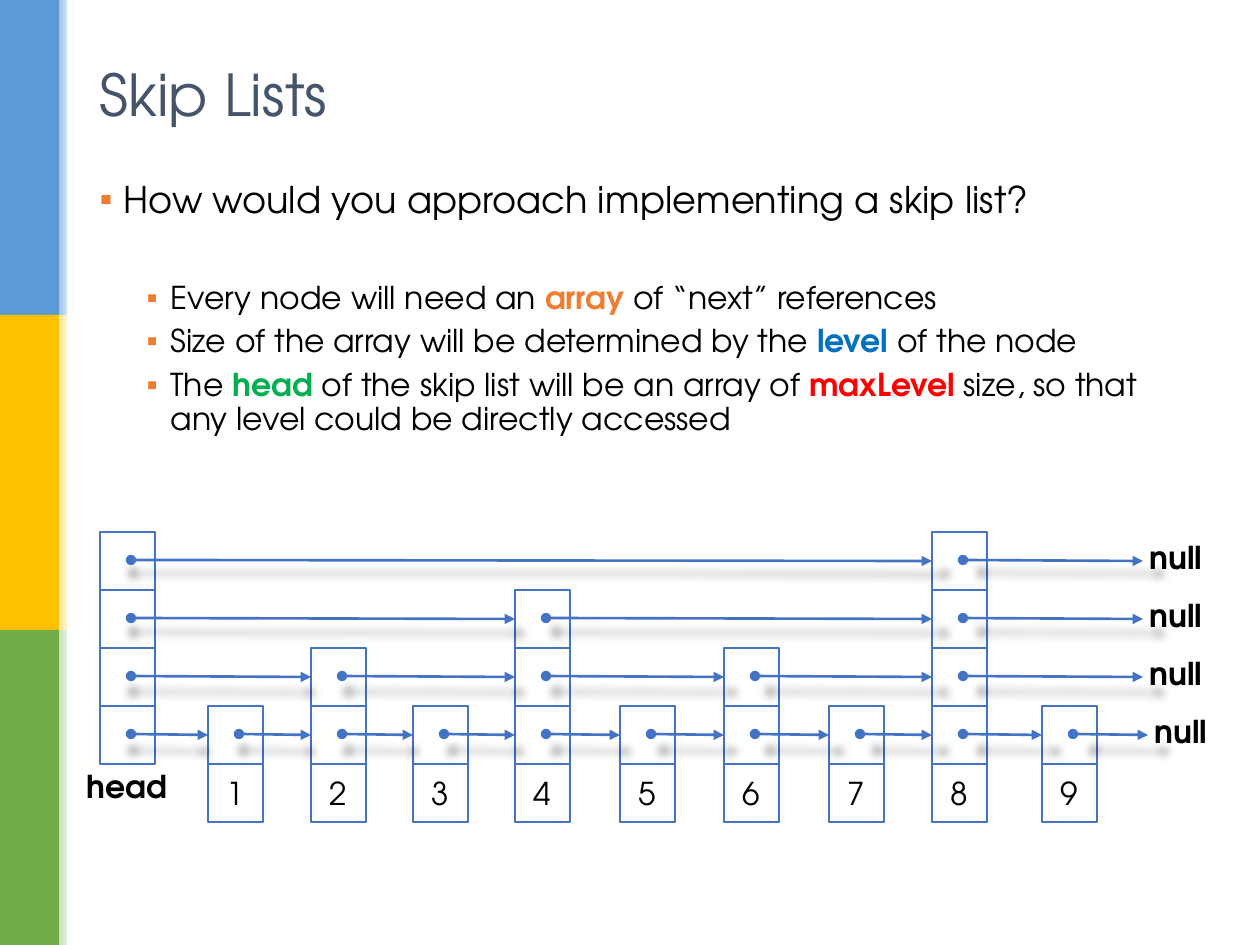
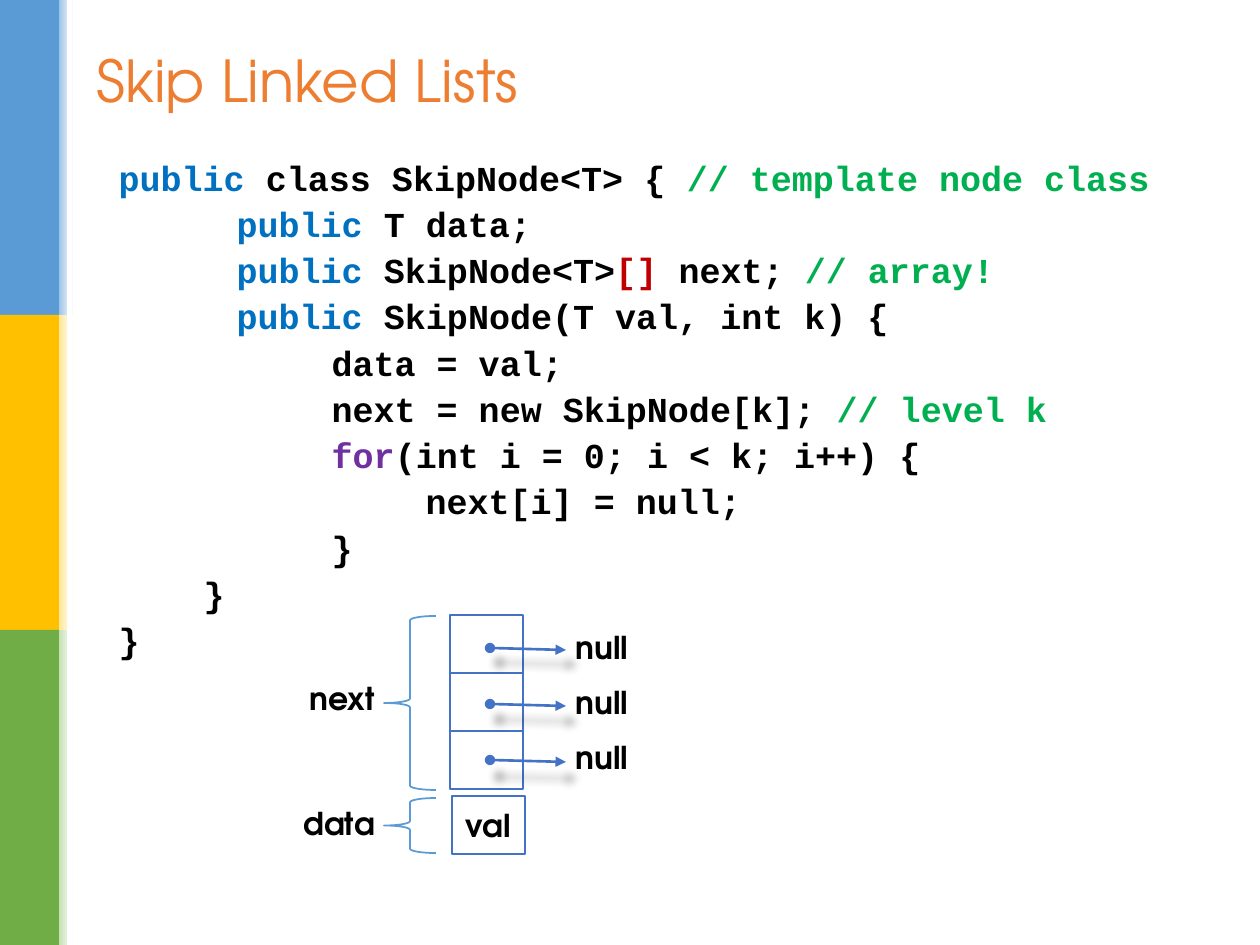
from typing import NamedTuple

from lxml import etree
from pptx import Presentation
from pptx.dml.color import RGBColor
from pptx.enum.shapes import MSO_CONNECTOR, MSO_SHAPE
from pptx.enum.text import MSO_ANCHOR, MSO_AUTO_SIZE, PP_ALIGN
from pptx.oxml.ns import qn
from pptx.shapes.base import BaseShape
from pptx.slide import Slide
from pptx.util import Emu, Pt

RECT, BRACE = MSO_SHAPE.RECTANGLE, MSO_SHAPE.LEFT_BRACE
STRAIGHT = MSO_CONNECTOR.STRAIGHT
TOP, MIDDLE = MSO_ANCHOR.TOP, MSO_ANCHOR.MIDDLE
LEFT, CENTER = PP_ALIGN.LEFT, PP_ALIGN.CENTER
NO_FIT = MSO_AUTO_SIZE.NONE

PX_PER_INCH = 126
SLIDE_W, SLIDE_H = 1260, 945
SANS, MONO = "TeX Gyre Adventor", "Courier New"

COLORS = {
    "black": "000000", "white": "FFFFFF", "slate": "44546A",
    "orange": "ED7D31", "blue": "0070C0", "green": "00B050",
    "red": "FF0000", "dark red": "C00000", "purple": "7030A0",
    "outline": "4472C4", "brace": "5B9BD5",
    "band blue": "5B9BD5", "band gold": "FFC000", "band green": "70AD47",
    "fade blue": "9DC3E6", "fade gold": "FFE699", "fade green": "C5E0B4",
}


class Box(NamedTuple):
    left: int
    top: int
    width: int
    height: int


class Span(NamedTuple):
    text: str
    color: str = "black"
    bold: bool = False


class Line(NamedTuple):
    spans: list[Span]
    margin: int
    size: int
    before: float
    bullet: bool = False


class Label(NamedTuple):
    text: str
    box: Box


def px(n: float) -> Emu:
    return Emu(round(n * 914400 / PX_PER_INCH))


def rgb(name: str) -> RGBColor:
    return RGBColor.from_string(COLORS[name])


def emu(box: Box) -> list[Emu]:
    return [px(n) for n in box]


def place(sp: BaseShape, box: Box) -> None:
    sp.left, sp.top, sp.width, sp.height = emu(box)


def style_run(r, font: str, size: int, color: str, bold: bool) -> None:
    r.font.name = font
    r.font.size = Pt(size)
    r.font.bold = bold
    r.font.color.rgb = rgb(color)


def add_rect(s: Slide, box: Box) -> BaseShape:
    sp = s.shapes.add_shape(RECT, *emu(box))
    sp.shadow.inherit = False
    sp.line.fill.background()
    return sp


def add_bands(s: Slide) -> None:
    height = SLIDE_H // 3
    for i, name in enumerate(("blue", "gold", "green")):
        band = add_rect(s, Box(0, i * height, 59, height))
        band.fill.solid()
        band.fill.fore_color.rgb = rgb(f"band {name}")
        fade = add_rect(s, Box(59, i * height, 15, height))
        fade.fill.gradient()
        fade.fill.gradient_angle = 0
        for stop, color in zip(fade.fill.gradient_stops, (f"fade {name}", "white")):
            stop.color.rgb = rgb(color)
            stop.position = 1.0 if color == "white" else 0.0
    strip = add_rect(s, Box(67, 0, 5, SLIDE_H))
    strip.fill.solid()
    strip.fill.fore_color.rgb = rgb("white")


def add_slide(prs, title: str, color: str, box: Box) -> Slide:
    s = prs.slides.add_slide(prs.slide_layouts[1])
    add_bands(s)
    sp = s.shapes.title
    place(sp, box)
    tf = sp.text_frame
    tf.text = title
    tf.auto_size = NO_FIT
    tf.vertical_anchor = MIDDLE
    p = tf.paragraphs[0]
    p.alignment = LEFT
    style_run(p.runs[0], SANS, 33, color, False)
    return s


def set_bullet(p, margin: int, bullet: bool) -> None:
    pPr = p._p.get_or_add_pPr()
    pPr.set("marL", str(px(margin)))
    pPr.set("indent", str(px(-24 if bullet else 0)))
    if not bullet:
        etree.SubElement(pPr, qn("a:buNone"))
        return
    color = etree.SubElement(pPr, qn("a:buClr"))
    etree.SubElement(color, qn("a:srgbClr"), val=COLORS["orange"])
    etree.SubElement(pPr, qn("a:buChar"), char="▪")


def fill_body(s: Slide, box: Box, lines: list[Line], font: str, spacing: float) -> None:
    sp = s.placeholders[1]
    place(sp, box)
    tf = sp.text_frame
    tf.auto_size = NO_FIT
    tf.vertical_anchor = TOP
    for i, line in enumerate(lines):
        p = tf.add_paragraph() if i else tf.paragraphs[0]
        p.line_spacing = spacing
        p.space_before = Pt(line.before)
        set_bullet(p, line.margin, line.bullet)
        for span in line.spans:
            r = p.add_run()
            r.text = span.text
            style_run(r, font, line.size, span.color, span.bold)


def add_cell(s: Slide, box: Box, text: str = "", bold: bool = False) -> None:
    sp = add_rect(s, box)
    sp.fill.solid()
    sp.fill.fore_color.rgb = rgb("white")
    sp.line.color.rgb = rgb("outline")
    sp.line.width = Pt(1.5)
    if text:
        tf = sp.text_frame
        tf.text = text
        tf.margin_left = tf.margin_right = 0
        tf.vertical_anchor = MIDDLE
        p = tf.paragraphs[0]
        p.alignment = CENTER
        style_run(p.runs[0], SANS, 18, "black", bold)


def add_arrow(s: Slide, x1: int, y1: int, x2: int, y2: int) -> None:
    sp = s.shapes.add_connector(STRAIGHT, px(x1), px(y1), px(x2), px(y2))
    sp.line.color.rgb = rgb("outline")
    sp.line.width = Pt(1.5)
    ln = sp.line._get_or_add_ln()
    etree.SubElement(ln, qn("a:headEnd"), type="oval")
    etree.SubElement(ln, qn("a:tailEnd"), type="triangle")
    effects = etree.SubElement(sp._element.spPr, qn("a:effectLst"))
    shadow = etree.SubElement(
        effects, qn("a:outerShdw"), blurRad="63500", dist="12700", dir="5400000",
        sx="102000", sy="102000", algn="ctr", rotWithShape="0")
    color = etree.SubElement(shadow, qn("a:srgbClr"), val=COLORS["black"])
    etree.SubElement(color, qn("a:alpha"), val="32000")


def add_label(s: Slide, label: Label) -> None:
    tf = s.shapes.add_textbox(*emu(label.box)).text_frame
    tf.text = label.text
    tf.word_wrap = True
    style_run(tf.paragraphs[0].runs[0], SANS, 18, "black", True)


def add_brace(s: Slide, box: Box) -> None:
    sp = s.shapes.add_shape(BRACE, *emu(box))
    sp.shadow.inherit = False
    sp.fill.background()
    sp.line.color.rgb = rgb("brace")
    sp.line.width = Pt(1)


CELL_W, CELL_H = 55, 58
BASE_TOP = 706
MAX_LEVEL = 4
NODE_LEFTS = (100, 208, 311, 413, 515, 620, 724, 829, 932, 1042)


def node_level(value: int) -> int:
    return (value & -value).bit_length() if value else MAX_LEVEL


def draw_skip_list(s: Slide) -> None:
    for value, left in enumerate(NODE_LEFTS):
        if value:
            add_cell(s, Box(left, BASE_TOP + CELL_H, CELL_W, CELL_H), str(value))
        for level in range(node_level(value)):
            add_cell(s, Box(left, BASE_TOP - level * CELL_H, CELL_W, CELL_H))
    for level in range(MAX_LEVEL):
        top = BASE_TOP - level * CELL_H
        null_left = 1137 if level else 1142
        stops = [x for value, x in enumerate(NODE_LEFTS) if node_level(value) > level]
        for left, target in zip(stops, stops[1:] + [null_left + 6]):
            add_arrow(s, left + 31, top + 28, target, top + 29)
        add_label(s, Label("null", Box(null_left, top, 86, 50)))
    add_label(s, Label("head", Box(74, 761, 116, 50)))


def draw_node(s: Slide) -> None:
    add_cell(s, Box(452, 796, 73, CELL_H), "val", True)
    for i in range(3):
        add_cell(s, Box(450, 615 + i * CELL_H, 73, CELL_H))
    for i in range(3):
        y = 648 + i * 56
        add_arrow(s, 490, y, 566, y + 2)
        add_label(s, Label("null", Box(563, 622 + i * 55, 86, 50)))
    for box in (Box(384, 616, 52, 174), Box(384, 798, 52, 55)):
        add_brace(s, box)
    for label in (Label("next", Box(297, 673, 99, 50)), Label("data", Box(291, 798, 110, 50))):
        add_label(s, label)


def point(*spans: Span, before: float = 5.4) -> Line:
    return Line(list(spans), 71, 18, before, True)


def code(margin: int, *parts: tuple[str, str]) -> Line:
    return Line([Span(text, color, True) for text, color in parts], margin, 20, 7.2)


POINTS = [
    Line([Span("How would you approach implementing a skip list?")], 24, 21, 6.3, True),
    point(Span("Every node will need an "), Span("array ", "orange", True),
          Span("of “next” references"), before=35),
    point(Span("Size of the array will be determined by the "),
          Span("level ", "blue", True), Span("of the node")),
    point(Span("The "), Span("head ", "green", True),
          Span("of the skip list will be an array of "), Span("maxLevel ", "red", True),
          Span("size, so that any level could be directly accessed")),
]

MEMBER, STATEMENT, NESTED, CLOSING = 118, 213, 307, 85
CODE = [
    code(0, ("public", "blue"), (" class SkipNode<T> { ", "black"),
         ("// template node class", "green")),
    code(MEMBER, ("public", "blue"), (" T data;", "black")),
    code(MEMBER, ("public ", "blue"), ("SkipNode<T>", "black"), ("[]", "dark red"),
         (" next; ", "black"), ("// array!", "green")),
    code(MEMBER, ("public ", "blue"), ("SkipNode(T val, int k) {", "black")),
    code(STATEMENT, ("data = val;", "black")),
    code(STATEMENT, ("next = new SkipNode[k];", "black"), (" // level k", "green")),
    code(STATEMENT, ("for", "purple"), ("(int i = 0; i < k; i++) {", "black")),
    code(NESTED, ("next[i] = null;", "black")),
    code(STATEMENT, ("}", "black")),
    code(CLOSING, ("}", "black")),
    code(0, ("}", "black")),
]


def main() -> None:
    prs = Presentation()
    prs.slide_width, prs.slide_height = px(SLIDE_W), px(SLIDE_H)

    s = add_slide(prs, "Skip Lists", "slate", Box(87, 50, 1086, 86))
    fill_body(s, Box(87, 175, 1086, 677), POINTS, SANS, 0.9)
    draw_skip_list(s)

    s = add_slide(prs, "Skip Linked Lists", "orange", Box(84, 32, 1071, 95))
    fill_body(s, Box(106, 158, 1101, 599), CODE, MONO, 0.8)
    draw_node(s)

    prs.save("out.pptx")


if __name__ == "__main__":
    main()
